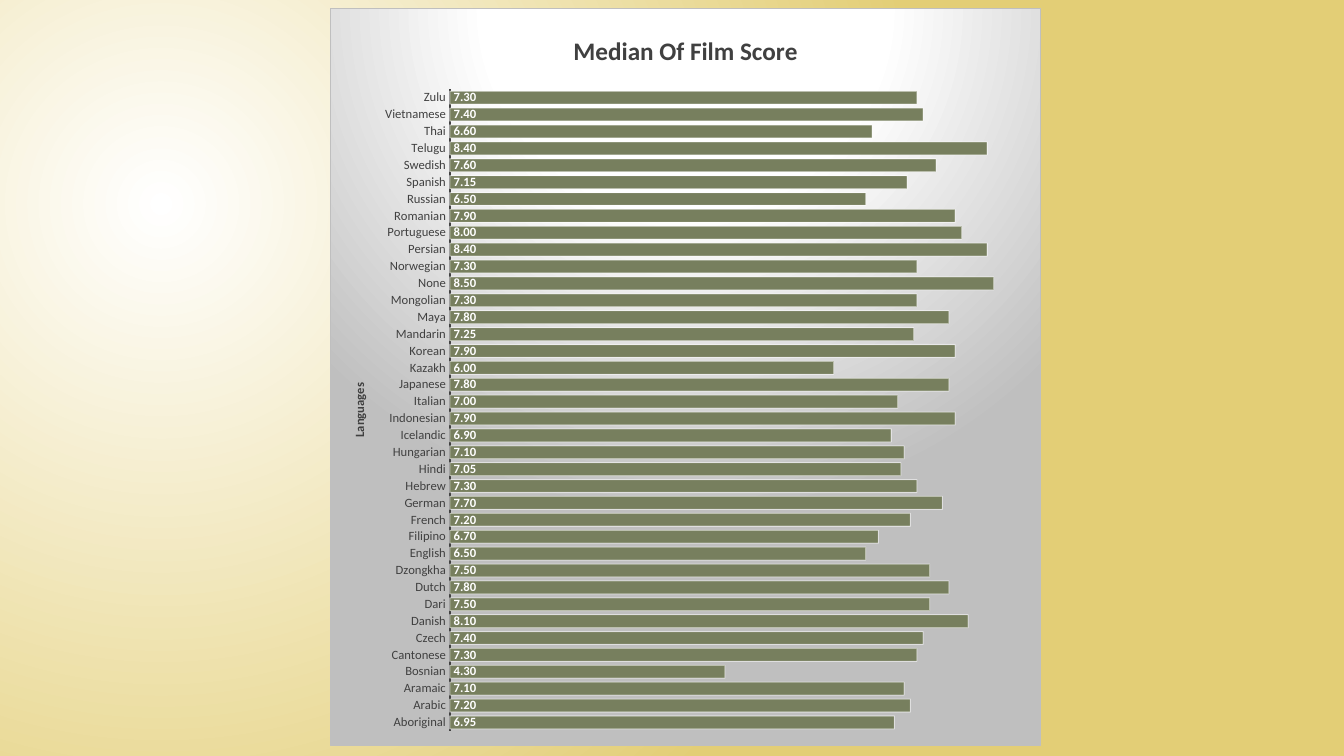
from lxml import etree
from pptx import Presentation
from pptx.chart.data import CategoryChartData
from pptx.dml.color import RGBColor
from pptx.enum.chart import XL_CHART_TYPE, XL_LABEL_POSITION, XL_TICK_MARK
from pptx.oxml import parse_xml
from pptx.oxml.ns import nsdecls, qn
from pptx.util import Pt

FONT = "Calibri"
DARK = "404040"
WHITE = "FFFFFF"
GREY = "BFBFBF"
OLIVE = "777F5E"
GOLD = "E3CE76"

SCORES = {
    "Aboriginal": 6.95, "Arabic": 7.2, "Aramaic": 7.1, "Bosnian": 4.3,
    "Cantonese": 7.3, "Czech": 7.4, "Danish": 8.1, "Dari": 7.5,
    "Dutch": 7.8, "Dzongkha": 7.5, "English": 6.5, "Filipino": 6.7,
    "French": 7.2, "German": 7.7, "Hebrew": 7.3, "Hindi": 7.05,
    "Hungarian": 7.1, "Icelandic": 6.9, "Indonesian": 7.9, "Italian": 7,
    "Japanese": 7.8, "Kazakh": 6, "Korean": 7.9, "Mandarin": 7.25,
    "Maya": 7.8, "Mongolian": 7.3, "None": 8.5, "Norwegian": 7.3,
    "Persian": 8.4, "Portuguese": 8, "Romanian": 7.9, "Russian": 6.5,
    "Spanish": 7.15, "Swedish": 7.6, "Telugu": 8.4, "Thai": 6.6,
    "Vietnamese": 7.4, "Zulu": 7.3,
}


def color(hex_string):
    return RGBColor.from_string(hex_string)


def set_font(font, size, hex_string, bold=False):
    font.name = FONT
    font.size = Pt(size)
    font.bold = bold
    font.color.rgb = color(hex_string)


def radial_gradient(stops, focus):
    """Return a circular gradFill; stops and focus edges are in percent."""
    stop_xml = "".join(
        f'<a:gs pos="{position * 1000}"><a:srgbClr val="{hex_string}"/></a:gs>'
        for position, hex_string in stops)
    edges = " ".join(f'{side}="{value * 1000}"' for side, value in zip("ltrb", focus))
    return (f'<a:gradFill {nsdecls("a")} rotWithShape="1"><a:gsLst>{stop_xml}</a:gsLst>'
            f'<a:path path="circle"><a:fillToRect {edges}/></a:path></a:gradFill>')


def paint_background(slide):
    slide.background.fill.solid()
    solid = next(slide.element.iter(qn("a:solidFill")))
    gradient = radial_gradient([(0, WHITE), (100, GOLD)], (50, 55, 125, 100))
    solid.getparent().replace(solid, parse_xml(gradient))


def paint_chart_area(chart):
    gradient = radial_gradient([(0, WHITE), (39, WHITE), (100, GREY)], (50, -80, 50, 180))
    properties = parse_xml(
        f'<c:spPr {nsdecls("c", "a")}>{gradient}<a:ln w="{Pt(0.75)}">'
        f'<a:solidFill><a:srgbClr val="{GREY}"/></a:solidFill></a:ln></c:spPr>')
    chart.element.find(qn("c:chart")).addnext(properties)


def place_plot(chart, left, top, width, height):
    """Fix the inner plot area, given in points within the chart."""
    chart_width, chart_height = CHART_BOX[2:]
    fractions = (left / chart_width, top / chart_height,
                 width / chart_width, height / chart_height)
    places = "".join(f'<c:{name} val="{value:.4f}"/>' for name, value in
                     zip("xywh", fractions))
    layout = parse_xml(
        f'<c:layout {nsdecls("c")}><c:manualLayout><c:layoutTarget val="inner"/>'
        f'<c:xMode val="edge"/><c:yMode val="edge"/>{places}</c:manualLayout></c:layout>')
    plot_area = next(chart.element.iter(qn("c:plotArea")))
    for old_layout in plot_area.findall(qn("c:layout")):
        plot_area.remove(old_layout)
    plot_area.insert(0, layout)


def write_title(owner_title, text, size):
    paragraph = owner_title.text_frame.paragraphs[0]
    paragraph.text = text
    set_font(paragraph.font, size, DARK, bold=True)


def style_axes(chart):
    languages = chart.category_axis
    languages.major_tick_mark = XL_TICK_MARK.NONE
    languages.minor_tick_mark = XL_TICK_MARK.NONE
    languages.has_major_gridlines = False
    set_font(languages.tick_labels.font, 9, DARK)
    languages.format.line.color.rgb = color(DARK)
    languages.format.line.width = Pt(1.5)
    write_title(languages.axis_title, "Languages", 9)
    body = next(chart.element.iter(qn("c:catAx"))).find(".//" + qn("a:bodyPr"))
    body.set("rot", "-5400000")
    body.set("vert", "horz")

    scores = chart.value_axis
    scores.minimum_scale, scores.maximum_scale = 0, 9
    scores.has_major_gridlines = False
    scores.tick_labels.number_format = "0.00"
    scores.tick_labels.number_format_is_linked = False
    scores.visible = False


def style_bars(plot):
    plot.gap_width = 31
    plot.vary_by_categories = False
    bars = plot.series[0]
    bars.format.fill.solid()
    bars.format.fill.fore_color.rgb = color(OLIVE)
    outline = bars.format.line
    outline.color.rgb = color(WHITE)
    outline.width = Pt(0.75)
    outline_color = plot.series[0]._element.find(".//" + qn("a:ln")).find(".//" + qn("a:srgbClr"))
    etree.SubElement(outline_color, qn("a:alpha")).set("val", "50000")

    labels = bars.data_labels
    labels.show_value = True
    labels.position = XL_LABEL_POSITION.INSIDE_BASE
    labels.number_format = "0.00"
    labels.number_format_is_linked = False
    set_font(labels.font, 9, WHITE, bold=True)


CHART_BOX = (236, 6, 507.5, 527)


def add_score_chart(slide, left, top, width, height):
    data = CategoryChartData(number_format="0.00")
    data.categories = list(SCORES)
    data.add_series("Series 1", SCORES.values())
    chart = slide.shapes.add_chart(
        XL_CHART_TYPE.BAR_CLUSTERED, Pt(left), Pt(top), Pt(width), Pt(height), data).chart
    set_font(chart.font, 10, "000000")
    chart.has_legend = False
    write_title(chart.chart_title, "Median Of Film Score", 18)
    chart.chart_title.include_in_layout = False
    style_axes(chart)
    style_bars(chart.plots[0])
    place_plot(chart, 85, 57.5, 412, 459)
    paint_chart_area(chart)


def main():
    presentation = Presentation()
    presentation.slide_width = Pt(960)
    presentation.slide_height = Pt(540)
    slide = presentation.slides.add_slide(presentation.slide_layouts[6])
    paint_background(slide)
    add_score_chart(slide, *CHART_BOX)
    presentation.save("out.pptx")


if __name__ == "__main__":
    main()
